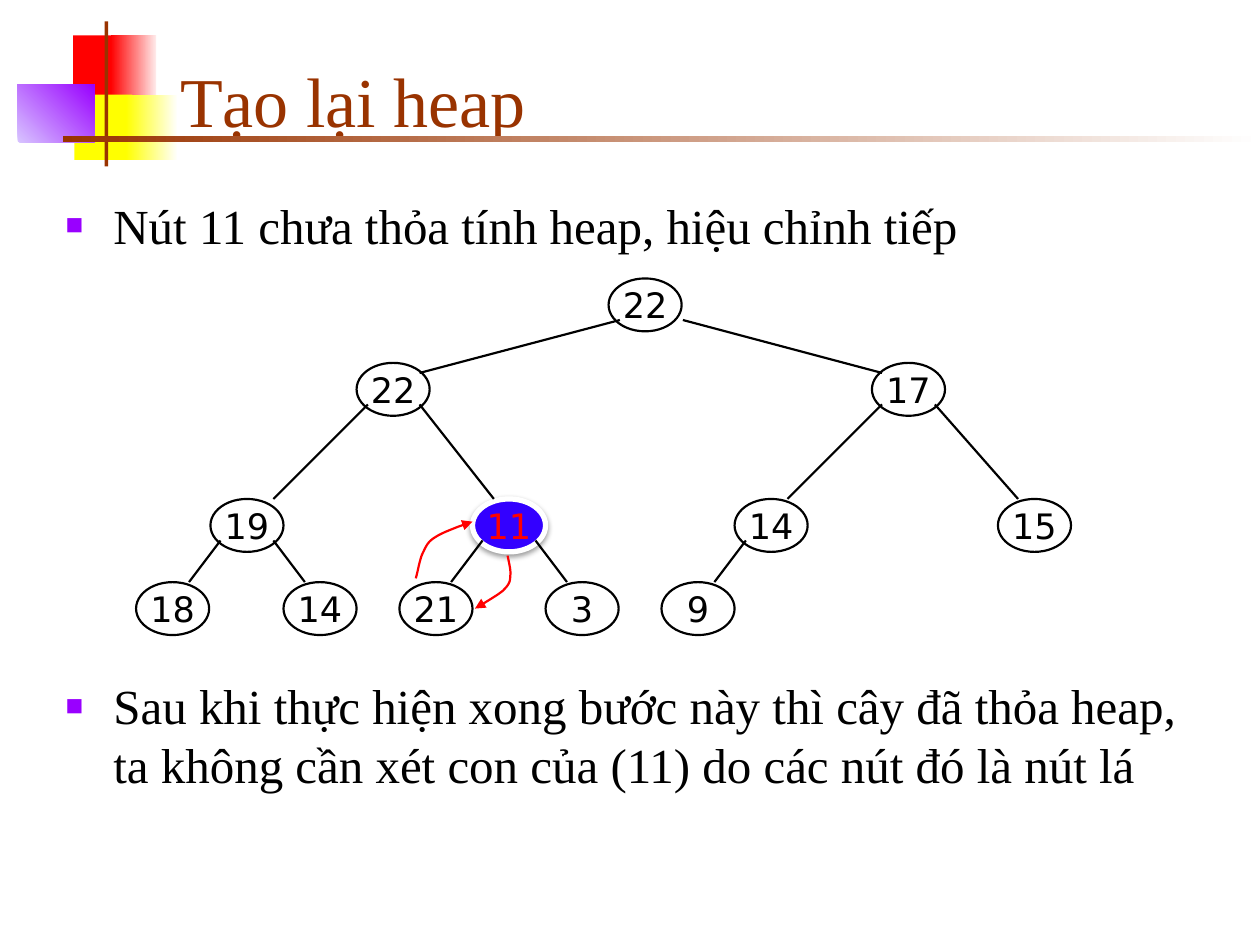
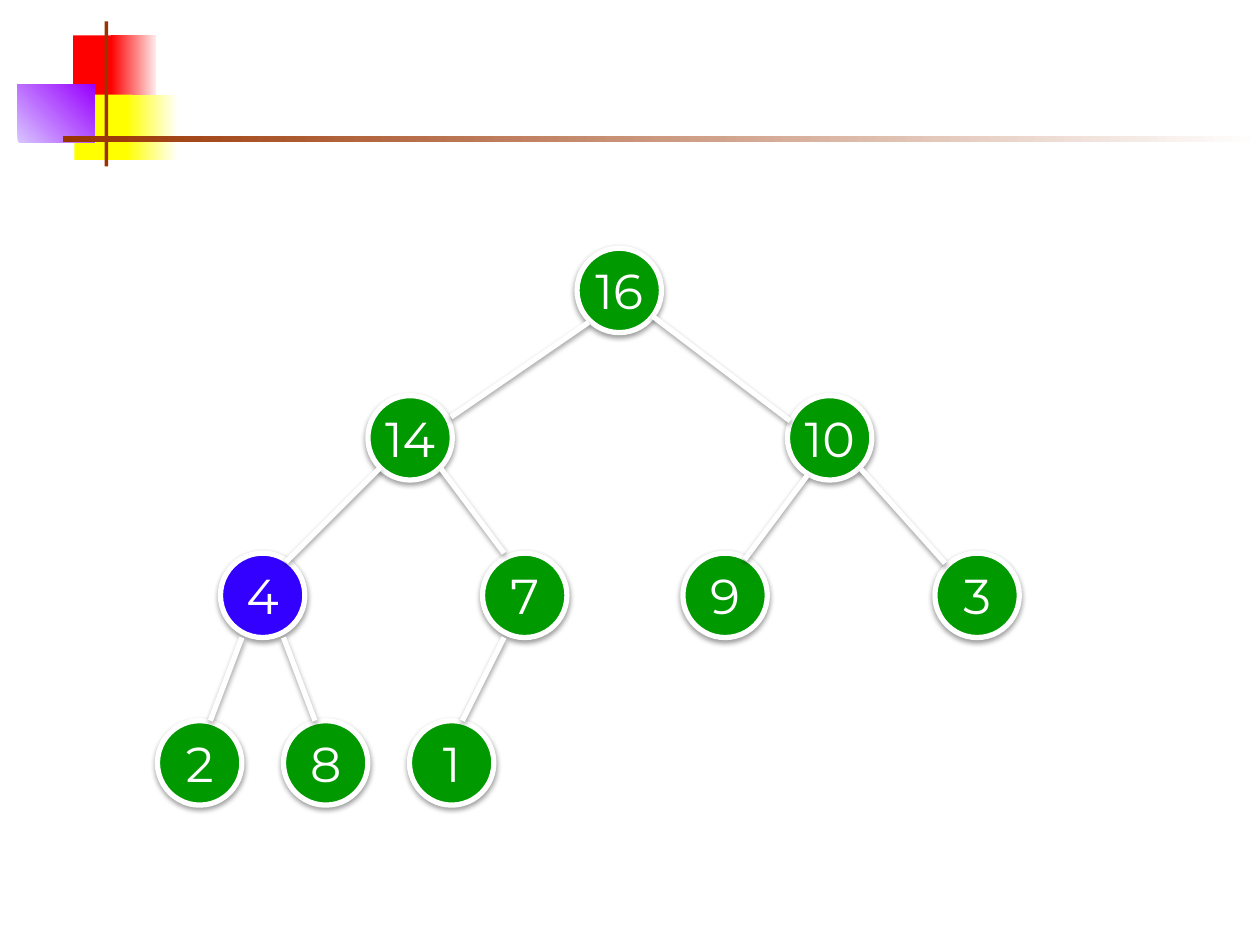
from dataclasses import dataclass, replace
from typing import NamedTuple, Optional

from lxml.etree import SubElement
from pptx import Presentation
from pptx.dml.color import RGBColor as RGB
from pptx.enum.shapes import MSO_CONNECTOR as Connector, MSO_SHAPE as Preset
from pptx.enum.text import MSO_ANCHOR as Anchor, MSO_AUTO_SIZE as AutoSize, PP_ALIGN as Align
from pptx.oxml.ns import qn
from pptx.util import Inches, Pt


@dataclass(frozen=True)
class Theme:
    brown: str = "993300"
    red: str = "FF0000"
    yellow: str = "FFFF00"
    purple: str = "9900FF"
    blue: str = "3300FF"
    green: str = "009900"
    black: str = "000000"
    white: str = "FFFFFF"
    pale_red: str = "FFEAEA"
    pale_yellow: str = "FFFFF8"
    pale_purple: str = "D8C4FF"
    text_font: str = "Times New Roman"
    title_size: int = 40
    body_size: int = 28


T = Theme()


class Band(NamedTuple):
    x: float
    y: float
    w: float
    h: float
    color: str
    fade: Optional[str] = None
    angle: int = 0


class Link(NamedTuple):
    x1: float
    y1: float
    x2: float
    y2: float


class Node(NamedTuple):
    label: str
    x: float
    y: float
    link: Optional[Link] = None
    active: bool = False


@dataclass(frozen=True)
class NodeStyle:
    w: float
    h: float
    fill: Optional[str]
    line: str
    line_width: float
    color: str
    font: str
    size: int
    shadow: bool


BANDS = [
    Band(0.58, 0.28, 0.35, 0.52, T.red),
    Band(0.88, 0.28, 0.36, 0.52, T.red, T.pale_red),
    Band(0.59, 0.75, 0.46, 0.52, T.yellow),
    Band(1, 0.75, 0.4, 0.52, T.yellow, T.pale_yellow),
    Band(0.14, 0.67, 0.61, 0.46, T.pale_purple, T.purple, 45),
    Band(0.83, 0.17, 0.03, 1.15, T.brown),
    Band(0.5, 1.08, 9.5, 0.05, T.brown, T.white),
]

OUTLINED = NodeStyle(0.58, 0.42, None, T.black, 1.25, T.black, "DejaVu Sans", 20, False)
OUTLINED_ACTIVE = replace(OUTLINED, fill=T.blue, line=T.white, line_width=3,
                          color=T.red, shadow=True)
FILLED = NodeStyle(0.67, 0.67, T.green, T.white, 3, T.white, "Montserrat", 28, True)
FILLED_ACTIVE = replace(FILLED, fill=T.blue)

REHEAP_ROWS = [2.21, 2.88, 3.96, 4.62]
REHEAP_TREE = [
    Node("22", 4.83, REHEAP_ROWS[0]),
    Node("22", 2.83, REHEAP_ROWS[1], Link(4.92, 2.54, 3.33, 2.96)),
    Node("17", 6.92, REHEAP_ROWS[1], Link(5.42, 2.54, 7, 2.96)),
    Node("19", 1.67, REHEAP_ROWS[2], Link(2.92, 3.21, 2.17, 3.96)),
    Node("11", 3.75, REHEAP_ROWS[2], Link(3.33, 3.21, 3.92, 3.96), True),
    Node("14", 5.83, REHEAP_ROWS[2], Link(7, 3.21, 6.25, 3.96)),
    Node("15", 7.92, REHEAP_ROWS[2], Link(7.42, 3.21, 8.08, 3.96)),
    Node("18", 1.08, REHEAP_ROWS[3], Link(1.75, 4.29, 1.5, 4.62)),
    Node("14", 2.25, REHEAP_ROWS[3], Link(2.17, 4.29, 2.42, 4.62)),
    Node("21", 3.17, REHEAP_ROWS[3], Link(3.83, 4.29, 3.58, 4.62)),
    Node("3", 4.33, REHEAP_ROWS[3], Link(4.25, 4.29, 4.5, 4.62)),
    Node("9", 5.25, REHEAP_ROWS[3], Link(5.92, 4.29, 5.67, 4.62)),
]

HEAP_ROWS = [1.97, 3.14, 4.39, 5.72]
HEAP_TREE = [
    Node("16", 4.58, HEAP_ROWS[0]),
    Node("14", 2.92, HEAP_ROWS[1], Link(3.58, 3.31, 4.67, 2.56)),
    Node("10", 6.25, HEAP_ROWS[1], Link(5.18, 2.51, 6.27, 3.34)),
    Node("4", 1.75, HEAP_ROWS[2], Link(3.02, 3.71, 2.27, 4.46), True),
    Node("7", 3.83, HEAP_ROWS[2], Link(3.5, 3.72, 4, 4.39)),
    Node("9", 5.42, HEAP_ROWS[2], Link(6.41, 3.77, 5.91, 4.44)),
    Node("3", 7.42, HEAP_ROWS[2], Link(6.83, 3.72, 7.5, 4.47)),
    Node("2", 1.25, HEAP_ROWS[3], Link(1.92, 5.06, 1.67, 5.72)),
    Node("8", 2.25, HEAP_ROWS[3], Link(2.25, 5.06, 2.5, 5.72)),
    Node("1", 3.25, HEAP_ROWS[3], Link(4, 5.06, 3.67, 5.72)),
]

SWAP_ARROWS = [
    [(3.3, 4.59), (3.31, 4.56), (3.33, 4.45), (3.35, 4.4), (3.38, 4.34),
     (3.39, 4.3), (3.46, 4.26), (3.52, 4.22), (3.69, 4.16), (3.75, 4.14)],
    [(4.03, 4.41), (4.03, 4.43), (4.06, 4.53), (4.05, 4.57), (4.05, 4.62),
     (4.04, 4.64), (3.99, 4.69), (3.94, 4.73), (3.82, 4.8), (3.77, 4.83)],
]


def place(shape, x: float, y: float, w: float, h: float) -> None:
    shape.left, shape.top = Inches(x), Inches(y)
    shape.width, shape.height = Inches(w), Inches(h)


def format_run(r, font: str, size: int, color: str) -> None:
    r.font.name = font
    r.font.size = Pt(size)
    r.font.color.rgb = RGB.from_string(color)


def set_line(shape, color: str, width: float) -> None:
    shape.line.color.rgb = RGB.from_string(color)
    shape.line.width = Pt(width)


def set_effects(shape, shadow: bool) -> None:
    effects = shape.element.spPr.find(qn("a:effectLst"))
    if effects is None:
        effects = SubElement(shape.element.spPr, qn("a:effectLst"))
    if shadow:
        outer = SubElement(effects, qn("a:outerShdw"), blurRad="40000", dist="20000",
                           dir="5400000", rotWithShape="0")
        color = SubElement(outer, qn("a:srgbClr"), val=T.black)
        SubElement(color, qn("a:alpha"), val="38000")


def draw_band(shapes, band: Band) -> None:
    sp = shapes.add_shape(Preset.RECTANGLE, *map(Inches, band[:4]))
    sp.shadow.inherit = False
    sp.line.fill.background()
    if band.fade is None:
        sp.fill.solid()
        sp.fill.fore_color.rgb = RGB.from_string(band.color)
        return
    sp.fill.gradient()
    sp.fill.gradient_angle = band.angle
    for stop, color in zip(sp.fill.gradient_stops, (band.color, band.fade)):
        stop.color.rgb = RGB.from_string(color)


def draw_node(shapes, node: Node, style: NodeStyle) -> None:
    sp = shapes.add_shape(Preset.OVAL, Inches(node.x), Inches(node.y),
                          Inches(style.w), Inches(style.h))
    sp.shadow.inherit = False
    if style.fill is None:
        sp.fill.background()
    else:
        sp.fill.solid()
        sp.fill.fore_color.rgb = RGB.from_string(style.fill)
    set_line(sp, style.line, style.line_width)
    set_effects(sp, style.shadow)
    tf = sp.text_frame
    tf.text = node.label
    tf.word_wrap = False
    tf.vertical_anchor = Anchor.MIDDLE
    p = tf.paragraphs[0]
    p.alignment = Align.CENTER
    format_run(p.runs[0], style.font, style.size, style.color)


def draw_link(shapes, link: Link, style: NodeStyle) -> None:
    line = shapes.add_connector(Connector.STRAIGHT, *map(Inches, link))
    set_line(line, style.line, style.line_width)
    set_effects(line, style.shadow)


def draw_tree(shapes, tree: list[Node], style: NodeStyle, active: NodeStyle) -> None:
    for node in tree:
        draw_node(shapes, node, active if node.active else style)
    for node in tree:
        if node.link:
            draw_link(shapes, node.link, style)


def curve_points(controls: list, steps: int = 10) -> list:
    points = []
    for i in range(0, len(controls) - 1, 3):
        corners = controls[i:i + 4]
        for step in range(1, steps + 1):
            t = step / steps
            weights = ((1 - t) ** 3, 3 * t * (1 - t) ** 2, 3 * t * t * (1 - t), t ** 3)
            points.append(tuple(Inches(sum(w * c[axis] for w, c in zip(weights, corners)))
                                for axis in (0, 1)))
    return points


def draw_arrow(shapes, controls: list) -> None:
    builder = shapes.build_freeform(*map(Inches, controls[0]))
    builder.add_line_segments(curve_points(controls), close=False)
    sp = builder.convert_to_shape()
    sp.shadow.inherit = False
    sp.fill.background()
    set_line(sp, T.red, 1.25)
    SubElement(sp.line._get_or_add_ln(), qn("a:tailEnd"), type="triangle")


def set_title(s, text: str) -> None:
    title = s.shapes.title
    place(title, 1.33, 0.25, 8.52, 0.92)
    tf = title.text_frame
    tf.text = text
    tf.auto_size = AutoSize.NONE
    tf.vertical_anchor = Anchor.BOTTOM
    p = tf.paragraphs[0]
    p.alignment = Align.LEFT
    format_run(p.runs[0], T.text_font, T.title_size, T.brown)


def add_bullet(p) -> None:
    pPr = p._p.get_or_add_pPr()
    pPr.set("marL", str(Inches(0.38)))
    pPr.set("indent", str(Inches(-0.38)))
    SubElement(SubElement(pPr, qn("a:buClr")), qn("a:srgbClr"), val=T.purple)
    SubElement(pPr, qn("a:buSzPct"), val="60000")
    SubElement(pPr, qn("a:buChar"), char="■")


def set_body(s, items: list[str], gap: float) -> None:
    body = s.placeholders[1]
    place(body, 0.42, 1.5, 9.38, 5.21)
    tf = body.text_frame
    tf.text = "\n".join(items)
    tf.auto_size = AutoSize.NONE
    for i, p in enumerate(tf.paragraphs):
        add_bullet(p)
        p.space_before = Pt(gap if i else 0)
        format_run(p.runs[0], T.text_font, T.body_size, T.black)


def add_slide(prs, layout: int):
    s = prs.slides.add_slide(prs.slide_layouts[layout])
    for band in BANDS:
        draw_band(s.shapes, band)
    return s


def build_reheap_slide(prs) -> None:
    s = add_slide(prs, 1)
    set_title(s, "Tạo lại heap")
    set_body(s, [
        "Nút 11 chưa thỏa tính heap, hiệu chỉnh tiếp",
        "Sau khi thực hiện xong bước này thì cây đã thỏa heap, "
        "ta không cần xét con của (11) do các nút đó là nút lá",
    ], gap=241)
    draw_tree(s.shapes.add_group_shape().shapes, REHEAP_TREE, OUTLINED, OUTLINED_ACTIVE)
    for controls in SWAP_ARROWS:
        draw_arrow(s.shapes, controls)


def build_heap_slide(prs) -> None:
    s = add_slide(prs, 6)
    draw_tree(s.shapes, HEAP_TREE, FILLED, FILLED_ACTIVE)


def main() -> None:
    prs = Presentation()
    prs.slide_width, prs.slide_height = Inches(10), Inches(7.5)
    build_reheap_slide(prs)
    build_heap_slide(prs)
    prs.save("out.pptx")


if __name__ == "__main__":
    main()
